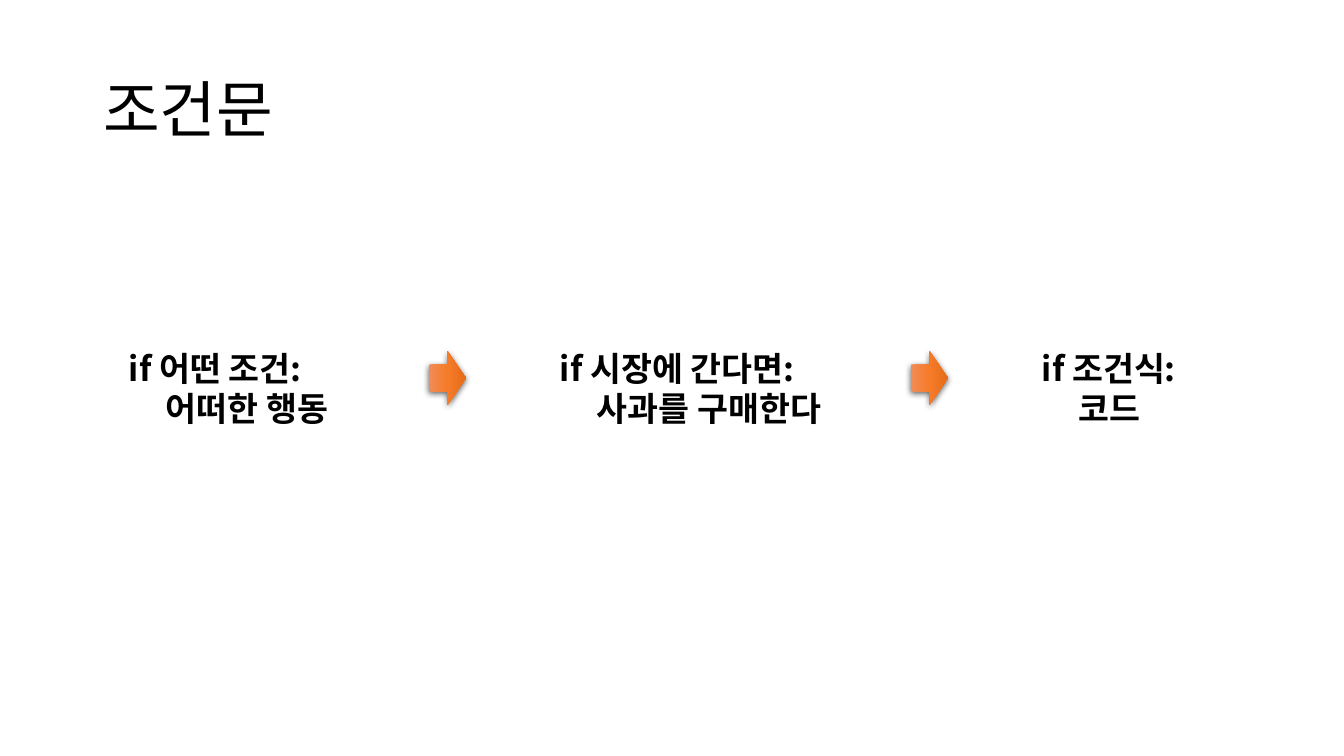
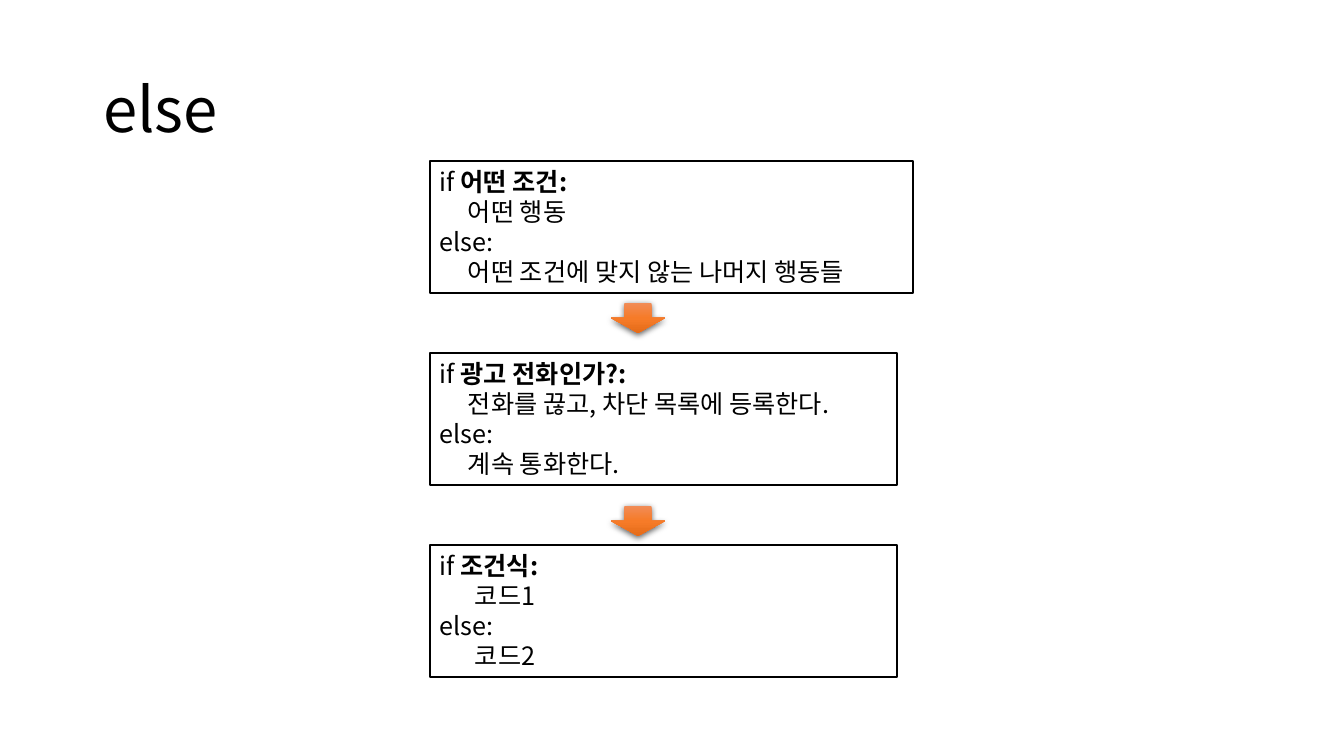
from copy import deepcopy
from pptx import Presentation
from pptx.dml.color import RGBColor
from pptx.enum.shapes import MSO_SHAPE
from pptx.enum.text import MSO_ANCHOR, MSO_AUTO_SIZE, PP_ALIGN
from pptx.oxml import parse_xml
from pptx.oxml.ns import nsdecls, qn
from pptx.util import Pt

PX = 914400 / 100.8
FONT = "Noto Sans CJK KR"
BLACK, WHITE = "000000", "FFFFFF"
ORANGES = ["F18C57", "F67B28", "E56C19"]
SHADOW = (
    f'<a:outerShdw {nsdecls("a")} blurRad="57150" dist="19050" dir="5400000" algn="ctr" rotWithShape="0">'
    f'<a:srgbClr val="{BLACK}"><a:alpha val="63000"/></a:srgbClr></a:outerShdw>'
)
rgb = RGBColor.from_string

prs = Presentation()
prs.slide_width, prs.slide_height = round(1344 * PX), round(756 * PX)


def write(tf, lines, size):
    for i, (indent, runs) in enumerate(lines):
        p = tf.paragraphs[0] if i == 0 else tf.add_paragraph()
        p.alignment = PP_ALIGN.LEFT
        if indent:
            p._p.get_or_add_pPr().set("marL", str(round(indent * PX)))
        for text, bold in runs:
            r = p.add_run()
            r.text = text
            for name, value in {"name": FONT, "size": Pt(size), "bold": bold}.items():
                setattr(r.font, name, value)
            r.font.color.rgb = rgb(BLACK)
            r._r.get_or_add_rPr().append(parse_xml(f'<a:ea {nsdecls("a")} typeface="{FONT}"/>'))


def add_arrow(s, kind, box, angle):
    sp = s.shapes.add_shape(kind, *[round(v * PX) for v in box])
    sp.line.fill.background()
    sp.fill.gradient()
    sp.fill.gradient_angle = angle
    stops = sp._element.spPr.find(".//" + qn("a:gsLst"))
    stops.insert(1, deepcopy(stops[0]))
    for i, (stop, color) in enumerate(zip(sp.fill.gradient_stops, ORANGES)):
        stop.position = i / 2
        stop.color.rgb = rgb(color)
    sp.shadow.inherit = False
    sp._element.spPr.find(qn("a:effectLst")).append(parse_xml(SHADOW))


slides = []
for title in ["조건문", "else"]:
    s = prs.slides.add_slide(prs.slide_layouts[5])
    sp = s.shapes.title
    frame = {"left": 93, "top": 40, "width": 545, "height": 146}
    for name, value in frame.items():
        setattr(sp, name, round(value * PX))
    tf = sp.text_frame
    for name, value in {
        "word_wrap": True,
        "auto_size": MSO_AUTO_SIZE.NONE,
        "vertical_anchor": MSO_ANCHOR.MIDDLE,
    }.items():
        setattr(tf, name, value)
    write(tf, [(0, [(title, False)])], 44)
    tf.paragraphs[0].line_spacing = 0.9
    slides.append(s)

s = slides[0]
for left, width, condition, action in [
    (119, 250, "어떤 조건:", "어떠한 행동"),
    (550, 318, "시장에 간다면:", "사과를 구매한다"),
    (1032, 165, "조건식:", "코드"),
]:
    sp = s.shapes.add_textbox(*[round(v * PX) for v in (left, 343, width, 92)])
    sp.text_frame.word_wrap = True
    write(sp.text_frame, [(0, [("if " + condition, True)]), (37, [(action, True)])], 24)
for left in (429, 911):
    add_arrow(s, MSO_SHAPE.RIGHT_ARROW, (left, 351, 37, 54), 0)

s = slides[1]
for i, (width, indent, condition, action, otherwise) in enumerate([
    (483, 28, "어떤 조건:", "어떤 행동", "어떤 조건에 맞지 않는 나머지 행동들"),
    (467, 28, "광고 전화인가?:", "전화를 끊고, 차단 목록에 등록한다.", "계속 통화한다."),
    (467, 35, "조건식:", "코드1", "코드2"),
]):
    sp = s.shapes.add_textbox(*[round(v * PX) for v in (430, 161 + 192 * i, width, 132)])
    sp.fill.solid()
    sp.fill.fore_color.rgb = rgb(WHITE)
    sp.line.color.rgb = rgb(BLACK)
    sp.line.width = Pt(1)
    sp.text_frame.word_wrap = True
    write(sp.text_frame, [
        (0, [("if ", False), (condition, True)]),
        (indent, [(action, False)]),
        (0, [("else:", False)]),
        (indent, [(otherwise, False)]),
    ], 18)
for top in (303, 506):
    add_arrow(s, MSO_SHAPE.DOWN_ARROW, (611, top, 54, 30), 270)

prs.save("out.pptx")
